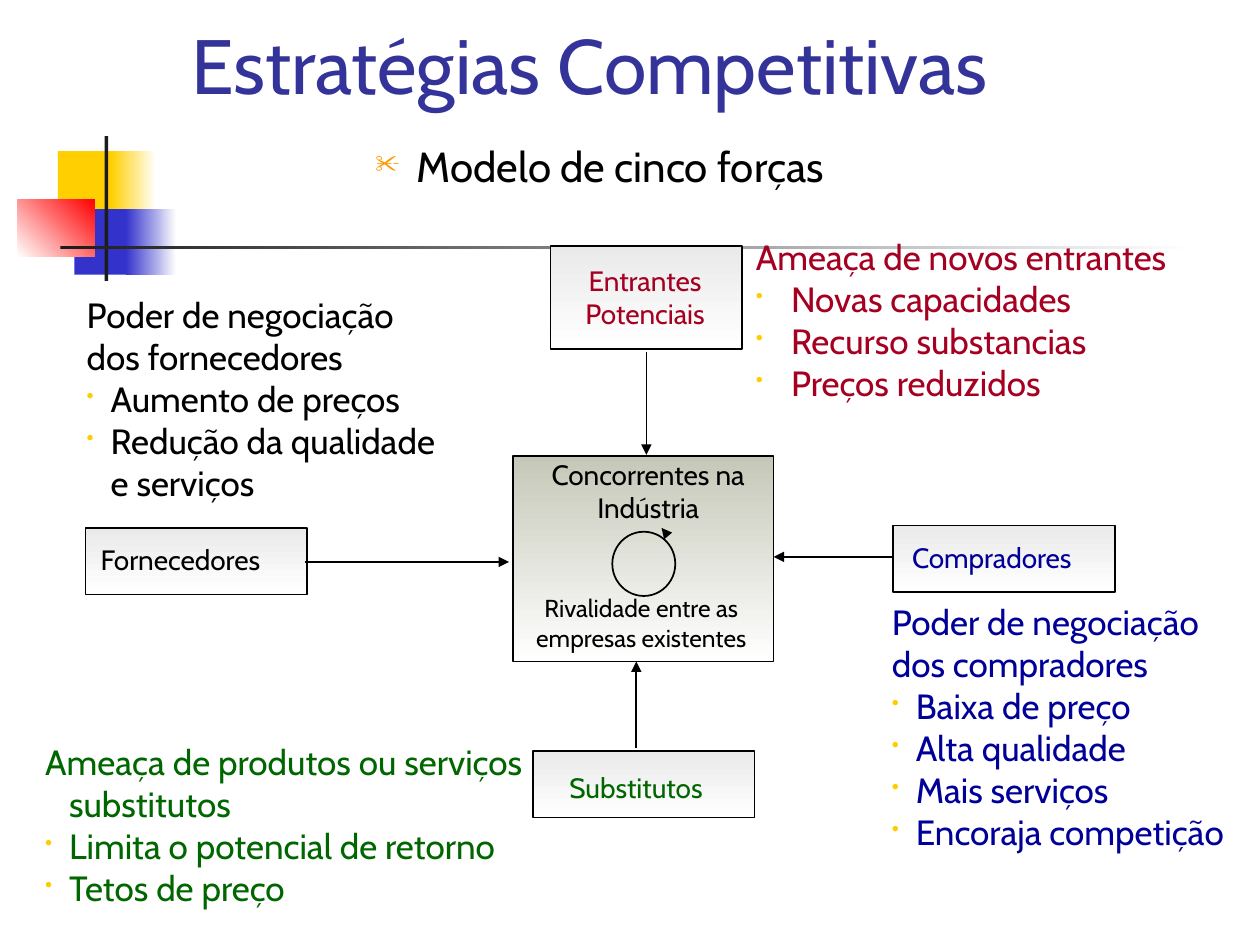
from lxml import etree
from pptx import Presentation
from pptx.dml.color import RGBColor
from pptx.enum.shapes import MSO_CONNECTOR, MSO_SHAPE
from pptx.enum.text import MSO_ANCHOR, PP_ALIGN
from pptx.oxml.ns import qn
from pptx.util import Pt

PX = 9144  # EMU per px, 100 px to the inch
FONT = "Cabin"
BLACK, WHITE, DARK = "000000", "FFFFFF", "1C1C1C"
YELLOW, BLUE, RED = "FFCF01", "3333CC", "FF0000"
CRIMSON, NAVY, GREEN = "A50021", "000099", "006600"
GREY, OLIVE = "EAEAEA", "C5C8B8"

# Corner ornament: box, first colour, last colour, clockwise angle
ORNAMENT = [
    ((46, 120, 48, 52), YELLOW, YELLOW, 0),
    ((88, 120, 36, 52), YELLOW, WHITE, 0),
    ((59, 166, 46, 52), BLUE, BLUE, 0),
    ((100, 166, 40, 52), BLUE, WHITE, 0),
    ((14, 158, 61, 46), WHITE, RED, 315),
    ((83, 108, 3, 115), DARK, DARK, 0),
    ((48, 195, 900, 3), DARK, WHITE, 0),
]

# Boxes of the five forces: box, top colour
FORCES = [
    ((437, 195, 152, 82), GREY),
    ((423, 596, 176, 53), GREY),
    ((407, 362, 207, 163), OLIVE),
    ((68, 419, 176, 53), GREY),
    ((709, 417, 176, 53), GREY),
]
RIVALRY_LOOP = (486, 422, 50, 51)

# Arrows: start, end, width in points
ARROWS = [
    ((708, 442), (614, 442), 1),
    ((505, 594), (505, 525), 1),
    ((513, 279), (513, 361), 1),
    ((530, 425), (525, 419), 1),
    ((242, 446), (404, 446), 0.75),
]

# Labels: box, lines, size, colour, alignment
LEFT, CENTER = PP_ALIGN.LEFT, PP_ALIGN.CENTER
LABELS = [
    ((449, 204, 126, 63), ["Entrantes", "Potenciais"], 16, CRIMSON, CENTER),
    ((418, 358, 193, 63), ["Concorrentes na", "Indústria"], 16, BLACK, CENTER),
    ((405, 466, 208, 56), ["Rivalidade entre as", "empresas existentes"], 14, BLACK, CENTER),
    ((70, 426, 163, 36), ["Fornecedores"], 16, BLACK, LEFT),
    ((714, 424, 163, 36), ["Compradores"], 16, NAVY, LEFT),
    ((442, 607, 137, 36), ["Substitutos"], 16, GREEN, LEFT),
]

# Notes: box, heading lines, bulleted points, colour, hanging indent
NOTES = [
    ((590, 182, 383, 143), ["Ameaça de novos entrantes"],
     ["Novas capacidades", "Recurso substancias", "Preços reduzidos"], CRIMSON, 28),
    ((59, 228, 300, 210), ["Poder de negociação", "dos fornecedores"],
     ["Aumento de preços", "Redução da qualidade e serviços"], BLACK, 19),
    ((698, 472, 302, 243), ["Poder de negociação", "dos compradores"],
     ["Baixa de preço", "Alta qualidade", "Mais serviços", "Encoraja competição"], NAVY, 19),
    ((26, 583, 432, 143), ["Ameaça de produtos ou serviços substitutos"],
     ["Limita o potencial de retorno", "Tetos de preço"], GREEN, 19),
]


def rgb(color):
    return RGBColor.from_string(color)


def emu(lengths):
    return [length * PX for length in lengths]


def add_box(slide, box, first=None, last=None, angle=0, outlined=False, kind=MSO_SHAPE.RECTANGLE):
    shape = slide.shapes.add_shape(kind, *emu(box))
    shape.shadow.inherit = False
    if first is None:
        shape.fill.background()
    elif first == last:
        shape.fill.solid()
        shape.fill.fore_color.rgb = rgb(first)
    else:
        shape.fill.gradient()
        shape.fill.gradient_angle = (360 - angle) % 360
        for stop, color in zip(shape.fill.gradient_stops, (first, last)):
            stop.color.rgb = rgb(color)
    if outlined:
        shape.line.color.rgb = rgb(BLACK)
        shape.line.width = Pt(1)
    else:
        shape.line.fill.background()


def add_text(slide, box, lines, size, color, align=LEFT, anchor=MSO_ANCHOR.TOP):
    frame = slide.shapes.add_textbox(*emu(box)).text_frame
    frame.word_wrap = True
    frame.vertical_anchor = anchor
    frame.text = "\n".join(lines)
    for paragraph in frame.paragraphs:
        paragraph.alignment = align
        for run in paragraph.runs:
            run.font.name = FONT
            run.font.size = Pt(size)
            run.font.color.rgb = rgb(color)
    return frame.paragraphs


def hang(paragraph, indent, bullet=None, color=None):
    props = paragraph._p.get_or_add_pPr()
    props.set("marL", str(indent * PX))
    props.set("indent", str(-indent * PX))
    if bullet:
        bullet_color = etree.SubElement(props, qn("a:buClr"))
        etree.SubElement(bullet_color, qn("a:srgbClr"), val=color)
        etree.SubElement(props, qn("a:buSzPct"), val="60000")
        etree.SubElement(props, qn("a:buChar"), char=bullet)


def add_arrow(slide, start, end, width):
    arrow = slide.shapes.add_connector(MSO_CONNECTOR.STRAIGHT, *emu(start + end))
    arrow.line.color.rgb = rgb(BLACK)
    arrow.line.width = Pt(width)
    etree.SubElement(arrow.line._get_or_add_ln(), qn("a:tailEnd"), type="triangle")
    etree.SubElement(arrow._element.spPr, qn("a:effectLst"))


def main():
    deck = Presentation()
    deck.slide_width, deck.slide_height = emu((1000, 750))
    slide = deck.slides.add_slide(deck.slide_layouts[6])

    # Ornament and headings
    for box, first, last, angle in ORNAMENT:
        add_box(slide, box, first, last, angle)
    add_text(slide, (142, 24, 781, 68), ["Estratégias Competitivas"], 44, "333399",
             anchor=MSO_ANCHOR.BOTTOM)
    subtitle = add_text(slide, (288, 107, 411, 50), ["Modelo de cinco forças"], 24, BLACK)
    hang(subtitle[0], 33, "✂", "FF9900")

    # Diagram
    for box, top in FORCES:
        add_box(slide, box, top, WHITE, 90, outlined=True)
    add_box(slide, RIVALRY_LOOP, outlined=True, kind=MSO_SHAPE.OVAL)
    for arrow in ARROWS:
        add_arrow(slide, *arrow)
    for label in LABELS:
        add_text(slide, *label)

    # Notes beside the forces
    for box, heading, points, color, indent in NOTES:
        for i, paragraph in enumerate(add_text(slide, box, heading + points, 20, color)):
            hang(paragraph, indent, "•" if i >= len(heading) else None, "FFCC00")

    deck.save("out.pptx")


if __name__ == "__main__":
    main()
